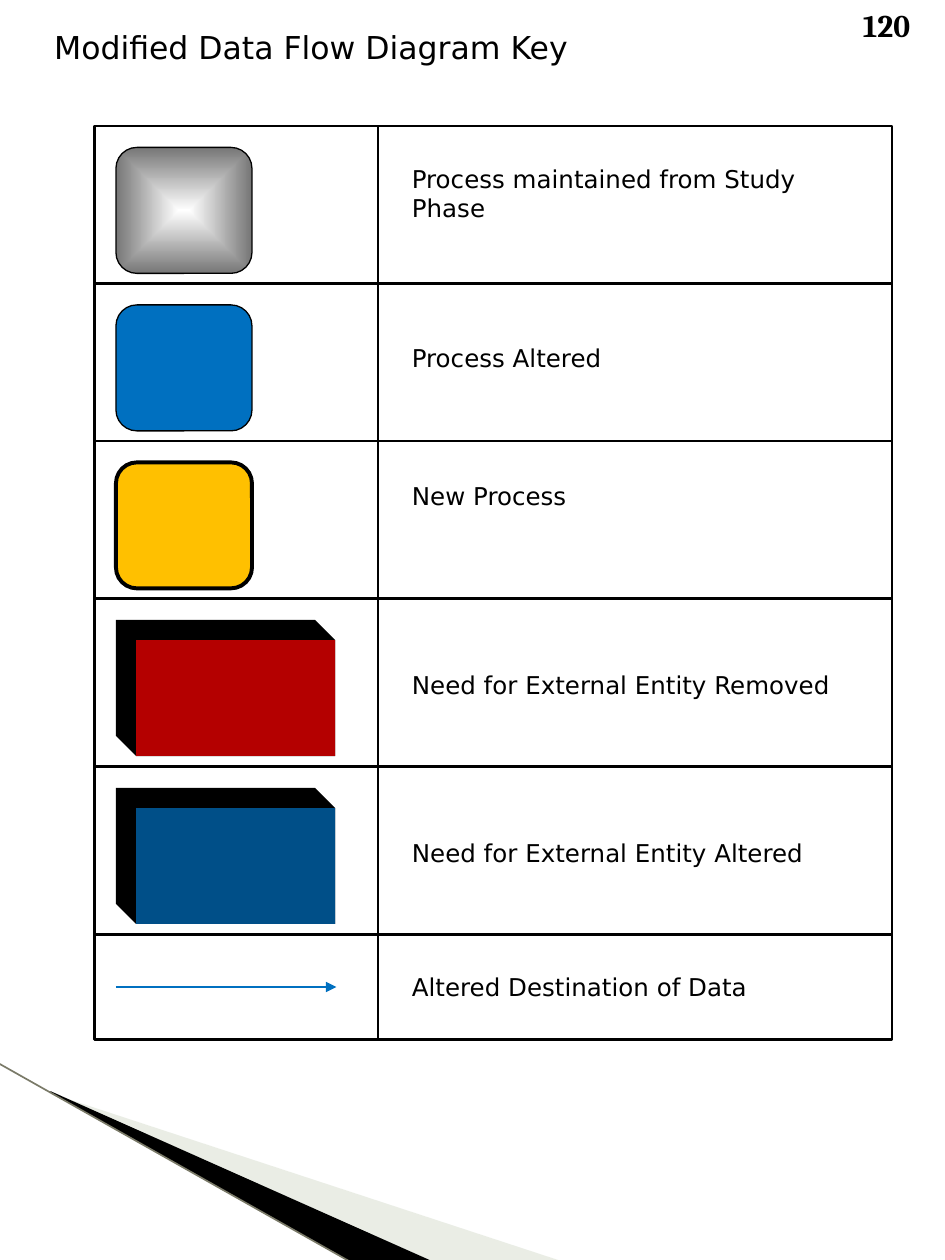
from lxml import etree
from pptx import Presentation
from pptx.dml.color import RGBColor
from pptx.enum import shapes, text
from pptx.oxml import ns, parse_xml
from pptx.util import Inches, Pt

COLORS = {
    "black": "000000",
    "blue": "0070C0",
    "gold": "FFC000",
    "red": "B40000",
    "navy": "004F88",
    "white": "FFFFFF",
    "gray": "767676",
    "sage": "CBD4C0",
    "olive": "7A7A68",
}
FONT = "DejaVu Sans"
TABLE_LEFT, TABLE_TOP, TABLE_WIDTH = 0.75, 1, 6.33
DIVIDER_X, SYMBOL_LEFT, LABEL_LEFT = 3, 0.92, 3.17
DEPTH = 0.16
ROWS = [
    (1.25, "process", "gray", 0.75, 0.25, "Process maintained from Study Phase"),
    (1.25, "process", "blue", 0.75, 0.42, "Process Altered"),
    (1.25, "process", "gold", 2.25, 0.27, "New Process"),
    (4 / 3, "entity", "red", 0, 0.52, "Need for External Entity Removed"),
    (4 / 3, "entity", "navy", 0, 0.52, "Need for External Entity Altered"),
    (5 / 6, "flow", "blue", 1.5, 0.25, "Altered Destination of Data"),
]


def rgb(name):
    return RGBColor.from_string(COLORS[name])


def paint(shape, fill=None, width=0):
    shape.shadow.inherit = False
    if fill:
        shape.fill.solid()
        shape.fill.fore_color.rgb = rgb(fill)
    else:
        shape.fill.background()
    if width:
        shape.line.color.rgb = rgb("black")
        shape.line.width = Pt(width)
    else:
        shape.line.fill.background()


def add_block(page, kind, left, top, width, height, fill=None, line=0):
    block = page.shapes.add_shape(
        kind, Inches(left), Inches(top), Inches(width), Inches(height))
    paint(block, fill, line)
    return block


def add_polygon(page, points, fill):
    corners = [(Inches(x), Inches(y)) for x, y in points]
    builder = page.shapes.build_freeform(*corners[0], scale=1.0)
    builder.add_line_segments(corners[1:], close=True)
    polygon = builder.convert_to_shape()
    paint(polygon, fill)
    return polygon


def add_line(page, start, end, color, width, arrow=False):
    line = page.shapes.add_connector(
        shapes.MSO_CONNECTOR.STRAIGHT,
        *(Inches(value) for value in (*start, *end)))
    line.line.color.rgb = rgb(color)
    line.line.width = Pt(width)
    properties = line._element.spPr
    if arrow:
        etree.SubElement(properties.find(ns.qn("a:ln")),
                         ns.qn("a:tailEnd"), type="triangle")
    etree.SubElement(properties, ns.qn("a:effectLst"))


def write(box, words, size, font=FONT, bold=False):
    frame = box.text_frame
    frame.word_wrap = True
    frame.auto_size = text.MSO_AUTO_SIZE.NONE
    frame.vertical_anchor = text.MSO_ANCHOR.TOP
    para = frame.paragraphs[0]
    para.alignment = text.PP_ALIGN.LEFT
    para.space_before = Pt(0)
    span = para.add_run()
    span.text = words
    span.font.name = font
    span.font.size = Pt(size)
    span.font.bold = bold
    span.font.color.rgb = rgb("black")


def add_text(page, left, top, width, height, words, size, **style):
    box = page.shapes.add_textbox(
        Inches(left), Inches(top), Inches(width), Inches(height))
    write(box, words, size, **style)


def add_title(page, words):
    title = page.shapes.title
    title.left, title.top = Inches(0.33), Inches(0.17)
    title.width, title.height = Inches(6.25), Inches(0.86)
    write(title, words, 18)


def shade_from_center(shape, inner, outer):
    gradient = parse_xml(
        f'<a:gradFill {ns.nsdecls("a")} rotWithShape="1"><a:gsLst>'
        f'<a:gs pos="0"><a:srgbClr val="{COLORS[inner]}"/></a:gs>'
        f'<a:gs pos="100000"><a:srgbClr val="{COLORS[outer]}"/></a:gs>'
        '</a:gsLst><a:path path="rect"><a:fillToRect l="50000" t="50000" '
        'r="50000" b="50000"/></a:path></a:gradFill>')
    properties = shape._element.spPr
    properties.replace(properties.find(ns.qn("a:solidFill")), gradient)


def add_process(page, top, color, line):
    process = add_block(page, shapes.MSO_SHAPE.ROUNDED_RECTANGLE,
                        SYMBOL_LEFT, top + 0.17, 1.08, 1, color, line)
    if color == "gray":
        shade_from_center(process, "white", "gray")


def add_entity(page, top, color):
    left, top, width, height = SYMBOL_LEFT + DEPTH, top + 0.33, 1.58, 0.92
    right, bottom = left + width, top + height
    add_polygon(page, [
        (left - DEPTH, top - DEPTH), (right - DEPTH, top - DEPTH),
        (right, top), (right, bottom), (left, bottom),
        (left - DEPTH, bottom - DEPTH)], "black")
    add_block(page, shapes.MSO_SHAPE.RECTANGLE, left, top, width, height, color)


def add_row(page, top, height, symbol, color, line, offset, label):
    if symbol == "process":
        add_process(page, top, color, line)
    elif symbol == "entity":
        add_entity(page, top, color)
    else:
        middle = top + height / 2
        add_line(page, (SYMBOL_LEFT, middle), (2.67, middle), color, line, True)
    add_text(page, LABEL_LEFT, top + offset, 3.75, 0.34, label, 14)
    add_block(page, shapes.MSO_SHAPE.RECTANGLE,
              TABLE_LEFT, top, TABLE_WIDTH, height, line=1.5)


def add_corner(page):
    wedge = add_polygon(
        page, [(0.41, 8.68), (4.46, 10.01), (3.42, 10.01), (0.41, 8.67)], "sage")
    color = wedge._element.spPr.find(".//" + ns.qn("a:srgbClr"))
    etree.SubElement(color, ns.qn("a:alpha"), val="40000")
    add_polygon(
        page, [(0.4, 8.66), (3.43, 10.01), (2.79, 10.02), (0.4, 8.67)], "black")
    add_line(page, (-0.01, 8.44), (2.79, 10.02), "olive", 0.95)


def main():
    deck = Presentation()
    deck.slide_width, deck.slide_height = Inches(7.5), Inches(10)
    page = deck.slides.add_slide(deck.slide_layouts[5])
    add_corner(page)
    add_title(page, "Modified Data Flow Diagram Key")
    top = TABLE_TOP
    for height, *details in ROWS:
        add_row(page, top, height, *details)
        top += height
    add_line(page, (DIVIDER_X, TABLE_TOP), (DIVIDER_X, top), "black", 1.5)
    add_text(page, 6.75, 0, 0.82, 0.4, "120", 18, font="Cambria", bold=True)
    deck.save("out.pptx")


if __name__ == "__main__":
    main()
